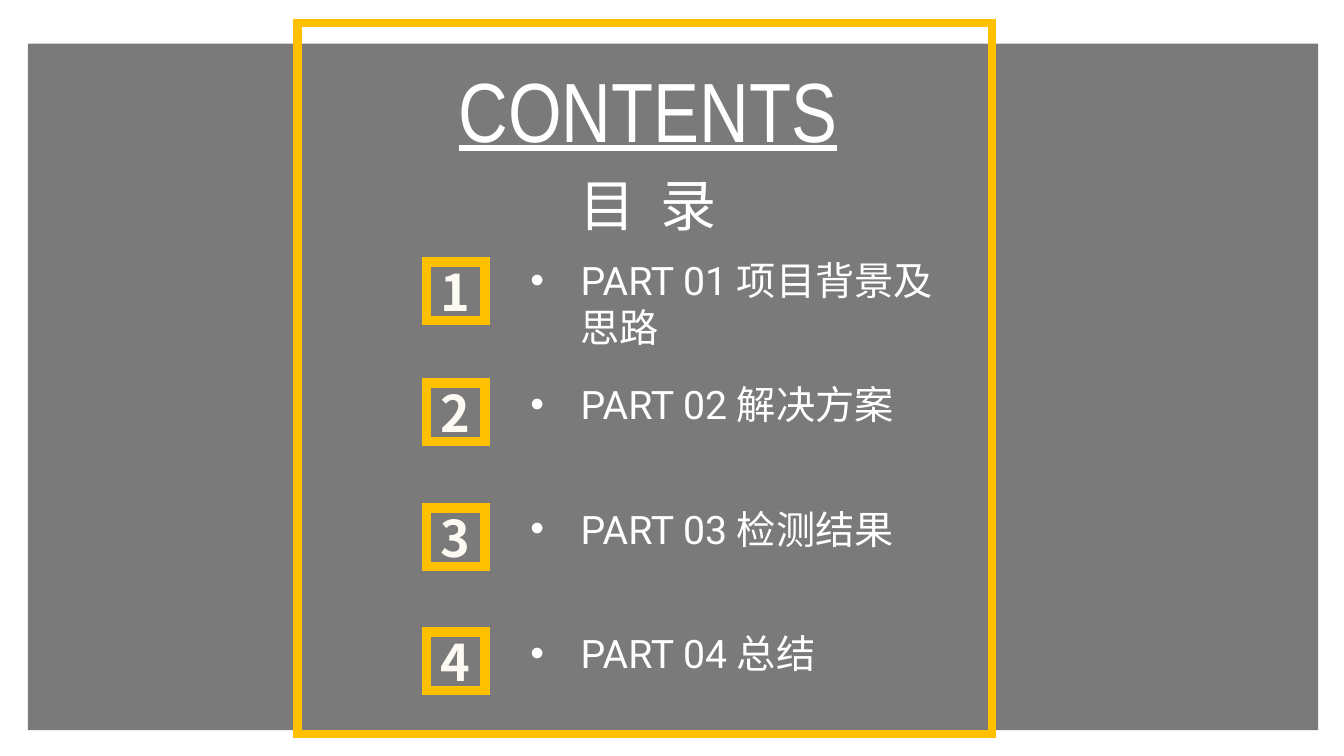
"""Build a contents slide with four numbered parts inside a yellow frame."""
import pptx
import pptx.dml.color
import pptx.enum.shapes
import pptx.enum.text
import pptx.oxml
import pptx.oxml.ns
import pptx.util

Pt = pptx.util.Pt
Align = pptx.enum.text.PP_ALIGN
Anchor = pptx.enum.text.MSO_ANCHOR
qn = pptx.oxml.ns.qn

BLACK = pptx.dml.color.RGBColor(0x00, 0x00, 0x00)
WHITE = pptx.dml.color.RGBColor(0xFF, 0xFF, 0xFF)
CREAM = pptx.dml.color.RGBColor(0xFC, 0xFA, 0xF2)
YELLOW = pptx.dml.color.RGBColor(0xFF, 0xC0, 0x00)

CHINESE_FONT = "Noto Sans CJK SC"
PART_PITCH = 88.8
PARTS = [
    ("PART 01 项目背景及思路", 312.5, 74.9, 187.2),
    ("PART 02 解决方案", 312.5, 41, 273.6),
    ("PART 03 检测结果", 373.7, 41, 362.9),
    ("PART 04 总结", 404.6, 41, 451.4),
]


def place(shape, left, top, width, height):
    """Position a shape, with all lengths in points."""
    shape.left, shape.top = Pt(left), Pt(top)
    shape.width, shape.height = Pt(width), Pt(height)


def add_xml(parent, tag, **attributes):
    """Append a DrawingML element to a parent and return it."""
    child = pptx.oxml.parse_xml(f'<a:{tag} {pptx.oxml.ns.nsdecls("a")}/>')
    for name, value in attributes.items():
        child.set(name, str(value))
    parent.append(child)
    return child


def write(shape, text, size, font=CHINESE_FONT, color=WHITE, bold=False, underline=False,
          align=Align.CENTER, anchor=Anchor.TOP, insets=(7.2, 3.6), spacing=1.0, tracking=0):
    """Fill a shape with one formatted paragraph and return the paragraph."""
    frame = shape.text_frame
    frame.word_wrap = True
    frame.auto_size = pptx.enum.text.MSO_AUTO_SIZE.NONE
    frame.vertical_anchor = anchor
    frame.margin_left = frame.margin_right = Pt(insets[0])
    frame.margin_top = frame.margin_bottom = Pt(insets[1])
    paragraph = frame.paragraphs[0]
    paragraph.alignment = align
    paragraph.line_spacing = spacing
    paragraph.space_before = paragraph.space_after = Pt(0)
    run = paragraph.add_run()
    run.text = text
    run.font.size = Pt(size)
    run.font.name = font
    run.font.bold = bold
    run.font.underline = underline
    run.font.color.rgb = color
    properties = run.font._element
    add_xml(properties, "ea", typeface=CHINESE_FONT)
    if tracking:
        properties.set("spc", str(int(tracking * 100)))
    return paragraph


def add_rectangle(slide, left, top, width, height):
    """Add a rectangle without shadow, fill or outline."""
    rectangle = slide.shapes.add_shape(
        pptx.enum.shapes.MSO_SHAPE.RECTANGLE, Pt(left), Pt(top), Pt(width), Pt(height))
    rectangle.shadow.inherit = False
    rectangle.fill.background()
    rectangle.line.fill.background()
    return rectangle


def add_backdrop(slide):
    """Add the translucent grey panel behind everything else."""
    backdrop = add_rectangle(slide, 20, 31.2, 921.6, 490.3)
    backdrop.fill.solid()
    backdrop.fill.fore_color.rgb = BLACK
    tint = backdrop.element.spPr.find(qn("a:solidFill"))[0]
    add_xml(tint, "alpha", val=52000)
    backdrop.element.getparent().insert(2, backdrop.element)


def add_yellow_box(slide, left, top, width, height, weight):
    """Add an unfilled box with a sharp-cornered yellow outline."""
    box = add_rectangle(slide, left, top, width, height)
    box.line.color.rgb = YELLOW
    box.line.width = Pt(weight)
    add_xml(box.element.spPr.find(qn("a:ln")), "miter", lim=800000)
    return box


def write_part(part, text, top, width, height):
    """Format a body placeholder as one bulleted part of the contents."""
    place(part, 371.6, top, width, height)
    paragraph = write(part, text, 28, font="Roboto", align=Align.LEFT,
                      insets=(7.2, 6.5), spacing=Pt(33.8))
    properties = paragraph._p.get_or_add_pPr()
    properties.set("marL", str(Pt(36)))
    properties.set("indent", str(-Pt(36)))
    add_xml(properties, "buFont", typeface="Arial")
    add_xml(properties, "buChar", char="•")


def main():
    """Build the slide and save it."""
    deck = pptx.Presentation()
    deck.slide_width, deck.slide_height = Pt(960), Pt(540)
    slide = deck.slides.add_slide(deck.slide_layouts.get_by_name("Comparison"))
    add_backdrop(slide)
    add_yellow_box(slide, 212.4, 16.6, 496.1, 507.6, 6)

    title, *bodies = slide.placeholders
    place(title, 264.2, 38.2, 397.4, 79.9)
    write(title, "CONTENTS", 60, font="Arial Narrow", underline=True)

    subtitle = slide.shapes.add_textbox(Pt(372.2), Pt(118.1), Pt(181.4), Pt(58.3))
    write(subtitle, "目 录", 40, tracking=4.5)

    for index, (body, part) in enumerate(zip(bodies, PARTS)):
        text, width, height, badge_top = part
        write_part(body, text, 176.4 + index * PART_PITCH, width, height)
        badge = add_yellow_box(slide, 304.6, badge_top, 41.8, 41.8, 7)
        write(badge, str(index + 1), 36, color=CREAM, bold=True,
              anchor=Anchor.MIDDLE, insets=(0, 0))

    deck.save("out.pptx")


if __name__ == "__main__":
    main()
